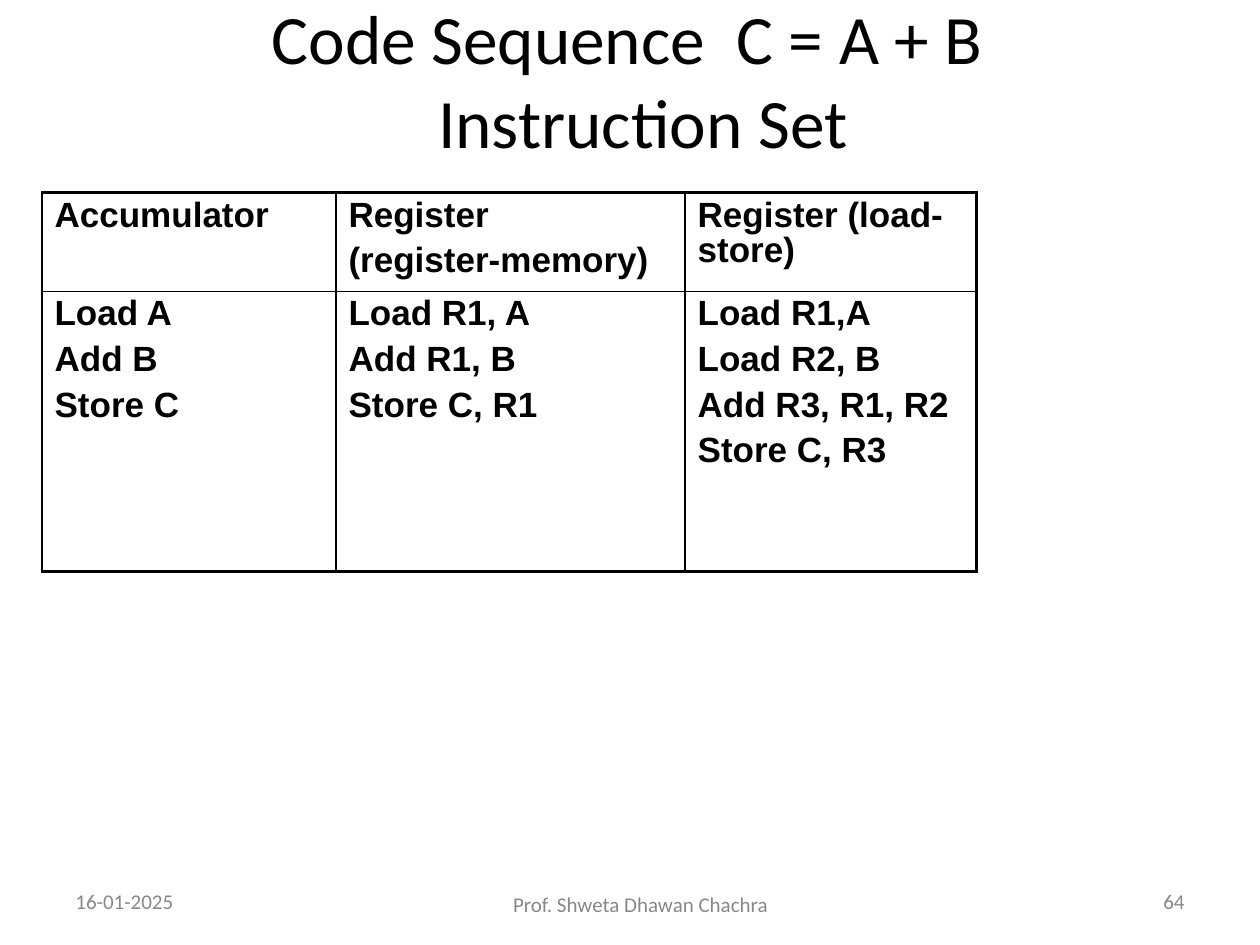
from lxml.etree import SubElement
from pptx import Presentation
from pptx.dml.color import RGBColor
from pptx.enum.text import MSO_ANCHOR, PP_ALIGN
from pptx.oxml.ns import qn
from pptx.util import Inches, Pt

COLORS = {"ink": "000000", "muted": "888888", "paper": "FFFFFF"}
THIN, THICK = 1, 2.25


class SlideBuilder:
    cell = Inches(1) / 12
    body_font = "Calibri"
    table_font = "Arial"

    def __init__(self, prs):
        self.slide = prs.slides.add_slide(prs.slide_layouts[6])
        fill = self.slide.background.fill
        fill.solid()
        fill.fore_color.rgb = RGBColor.from_string(COLORS["paper"])

    def units(self, *cells):
        return [round(n * self.cell) for n in cells]

    def style(self, p, font, size, color, bold=False):
        for r in p.runs:
            r.font.name = font
            r.font.size = Pt(size)
            r.font.bold = bold
            r.font.color.rgb = RGBColor.from_string(COLORS[color])

    def text(self, box, text, size, color, align):
        sp = self.slide.shapes.add_textbox(*self.units(*box))
        tf = sp.text_frame
        tf.word_wrap = True
        tf.vertical_anchor = MSO_ANCHOR.MIDDLE
        tf.text = text
        p = tf.paragraphs[0]
        p.alignment = align
        self.style(p, self.body_font, size, color)

    def border(self, cell, side, width):
        ln = SubElement(cell._tc.get_or_add_tcPr(), qn(f"a:ln{side}"), w=str(Pt(width)))
        fill = SubElement(ln, qn("a:solidFill"))
        SubElement(fill, qn("a:srgbClr"), val=COLORS["ink"])

    def table(self, left, top, widths, heights, rows):
        box = self.units(left, top, sum(widths), sum(heights))
        table = self.slide.shapes.add_table(len(heights), len(widths), *box).table
        table.first_row = table.horz_banding = False
        for column, width in zip(table.columns, self.units(*widths)):
            column.width = width
        for row, height in zip(table.rows, self.units(*heights)):
            row.height = height
        for i, row in enumerate(rows):
            for j, lines in enumerate(row):
                cell = table.cell(i, j)
                self.border(cell, "L", THIN)
                self.border(cell, "R", THICK if j == len(widths) - 1 else THIN)
                self.border(cell, "T", THICK if i == 0 else THIN)
                self.border(cell, "B", THICK if i == len(heights) - 1 else THIN)
                cell.fill.background()
                self.cell_text(cell, lines)

    def cell_text(self, cell, lines):
        tf = cell.text_frame
        tf.text = "\n".join(lines)
        for k, p in enumerate(tf.paragraphs):
            p.line_spacing = 0.9
            if k:
                p.space_before = Pt(6)
            self.style(p, self.table_font, 20, "ink", bold=True)


def main():
    prs = Presentation()
    prs.slide_width, prs.slide_height = Inches(10), Inches(7.5)
    s = SlideBuilder(prs)
    s.text((8, 3, 105, 9), "Code Sequence  C = A + B \v Instruction Set",
           39.6, "ink", PP_ALIGN.CENTER)
    s.table(4, 18.36, (28, 33.25, 27.75), (8.64, 26.64), [
        [["Accumulator"],
         ["Register", "(register-memory)"],
         ["Register (load-store)"]],
        [["Load A", "Add B", "Store C"],
         ["Load R1, A", "Add R1, B", "Store C, R1"],
         ["Load R1,A", "Load R2, B", "Add R3, R1, R2", "Store C, R3"]],
    ])
    for box, text, align in [
        ((6, 83.4, 28, 4.8), "16-01-2025", PP_ALIGN.LEFT),
        ((42, 83.75, 38, 4.8), "Prof. Shweta Dhawan Chachra", PP_ALIGN.CENTER),
        ((86, 83.4, 28, 4.8), "64", PP_ALIGN.RIGHT),
    ]:
        s.text(box, text, 12, "muted", align)
    prs.save("out.pptx")


if __name__ == "__main__":
    main()
